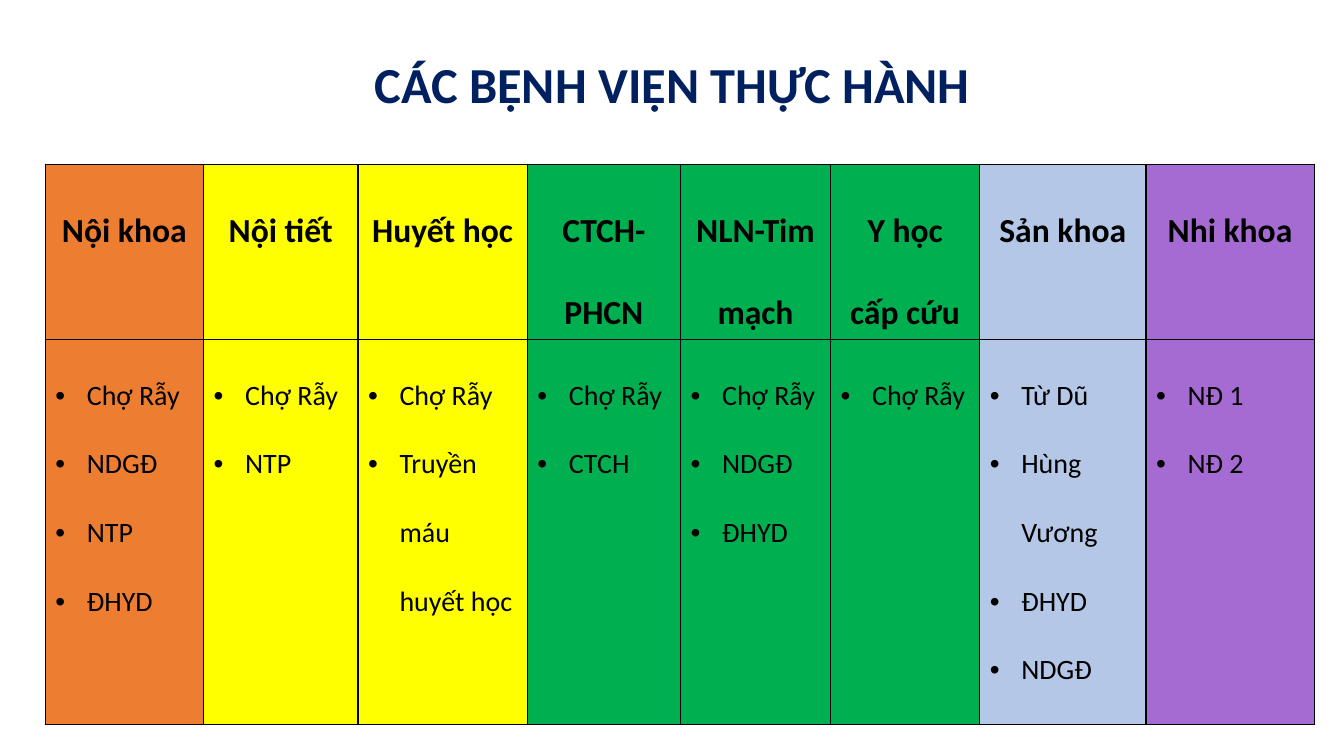
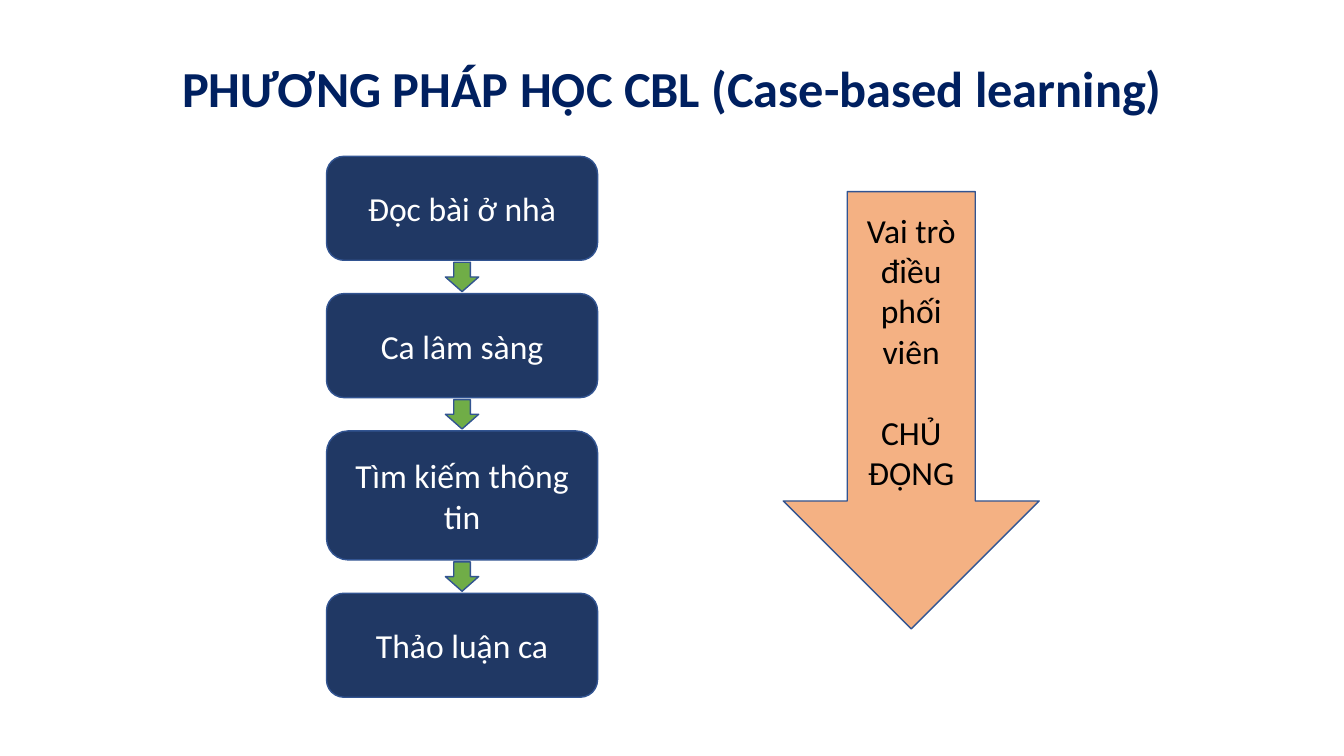
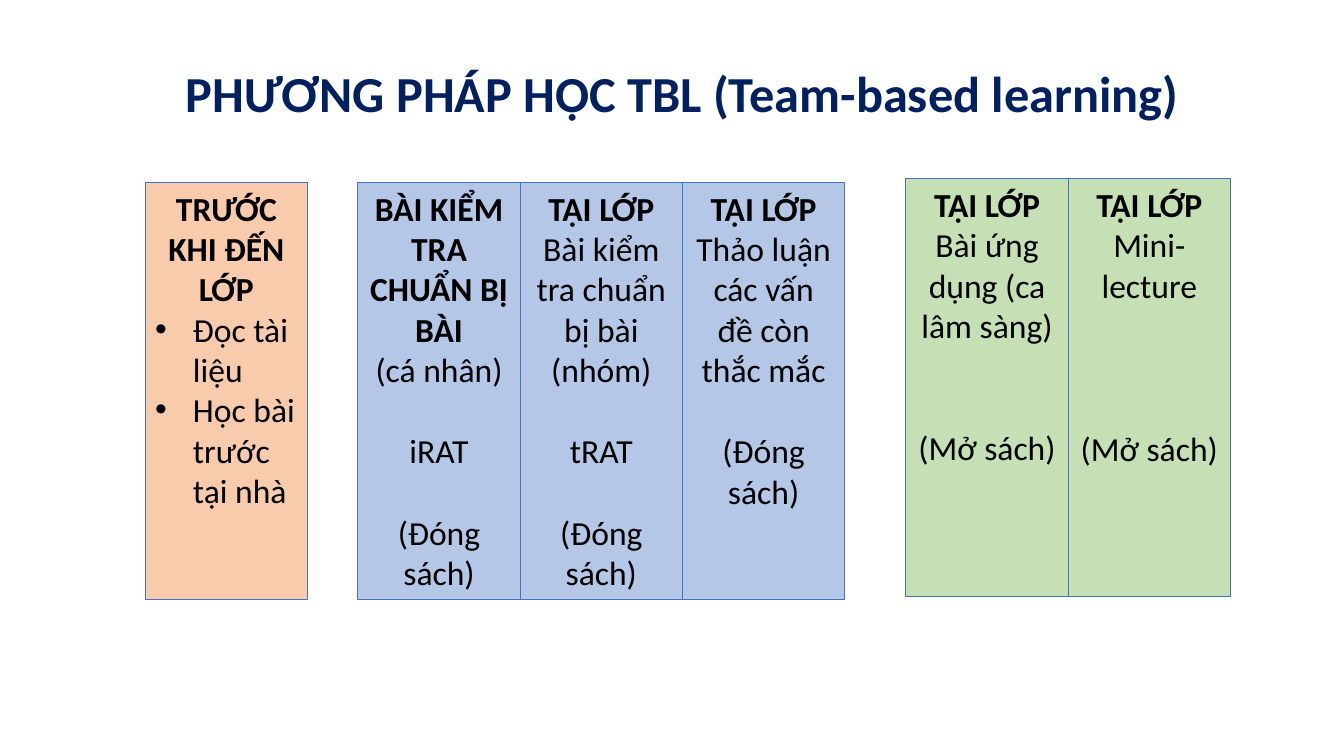
from dataclasses import dataclass

from lxml.etree import SubElement
from pptx import Presentation
from pptx.dml.color import RGBColor
from pptx.enum.shapes import MSO_SHAPE
from pptx.enum.text import MSO_ANCHOR, MSO_AUTO_SIZE, PP_ALIGN
from pptx.oxml.ns import qn
from pptx.util import Cm, Pt

FONT = "Calibri"
LINE_HEIGHT = 1.22  # height of one text line relative to its font size
BULLET_INDENT = 1.125  # bullet indent relative to the font size

BLACK = RGBColor(0x00, 0x00, 0x00)
WHITE = RGBColor(0xFF, 0xFF, 0xFF)
TITLE_NAVY = RGBColor(0x00, 0x20, 0x60)
STEP_NAVY = RGBColor(0x20, 0x38, 0x64)
OUTLINE_NAVY = RGBColor(0x32, 0x54, 0x91)
OUTLINE_BLUE = RGBColor(0x44, 0x72, 0xC4)
ORANGE = RGBColor(0xED, 0x7D, 0x31)
SOFT_ORANGE = RGBColor(0xF4, 0xB1, 0x83)
PEACH = RGBColor(0xF8, 0xCB, 0xAD)
YELLOW = RGBColor(0xFF, 0xFF, 0x00)
GREEN = RGBColor(0x00, 0xB0, 0x50)
ARROW_GREEN = RGBColor(0x70, 0xAD, 0x47)
PALE_GREEN = RGBColor(0xC5, 0xE0, 0xB4)
PALE_BLUE = RGBColor(0xB4, 0xC7, 0xE7)
PURPLE = RGBColor(0xA6, 0x6B, 0xD3)


@dataclass
class Line:
    """One paragraph; gap is the space above it, counted in text lines."""
    text: str
    bold: bool = False
    bullet: bool = False
    gap: int = 0


class Deck:
    def __init__(self):
        self.presentation = Presentation()
        self.presentation.slide_width = Cm(33.87)
        self.presentation.slide_height = Cm(19.05)
        self.slide = None

    def add_slide(self, title, left, top):
        layout = self.presentation.slide_layouts.get_by_name("Title Only")
        self.slide = self.presentation.slides.add_slide(layout)
        shape = self.slide.shapes.title
        shape.left, shape.top = Cm(left), Cm(top)
        shape.width, shape.height = Cm(29.21), Cm(3.68)
        text_frame = shape.text_frame
        self.set_lines(text_frame, [Line(title, bold=True)], TITLE_NAVY, 36, 0.9)
        text_frame.auto_size = MSO_AUTO_SIZE.NONE
        text_frame.vertical_anchor = MSO_ANCHOR.MIDDLE

    def set_lines(self, text_frame, lines, colour=BLACK, size=24, spacing=None):
        text_frame.word_wrap = True
        text_frame.text = "\n".join(line.text for line in lines)
        for paragraph, line in zip(text_frame.paragraphs, lines):
            paragraph.alignment = PP_ALIGN.LEFT if line.bullet else PP_ALIGN.CENTER
            if spacing:
                paragraph.line_spacing = spacing
            if line.gap:
                paragraph.space_before = Pt(round(line.gap * size * LINE_HEIGHT, 1))
            if line.bullet:
                self.add_bullet(paragraph, Pt(size * BULLET_INDENT))
            for run in paragraph.runs:
                run.font.name = FONT
                run.font.size = Pt(size)
                run.font.bold = line.bold
                run.font.color.rgb = colour

    def add_bullet(self, paragraph, indent):
        properties = paragraph._p.get_or_add_pPr()
        properties.set("marL", str(indent))
        properties.set("indent", str(-indent))
        SubElement(properties, qn("a:buFont"), typeface="Arial")
        SubElement(properties, qn("a:buChar"), char="•")

    def add_shape(self, kind, left, top, width, height, fill, outline, weight=1.0):
        shape = self.slide.shapes.add_shape(
            kind, Cm(left), Cm(top), Cm(width), Cm(height))
        shape.shadow.inherit = False
        shape.fill.solid()
        shape.fill.fore_color.rgb = fill
        shape.line.color.rgb = outline
        shape.line.width = Pt(weight)
        return shape

    def add_step(self, text, left, top, width, height):
        shape = self.add_shape(MSO_SHAPE.ROUNDED_RECTANGLE, left, top, width, height,
                               STEP_NAVY, OUTLINE_NAVY)
        self.set_lines(shape.text_frame, [Line(text)], WHITE)

    def add_down_arrow(self, left, top, width, height, fill):
        return self.add_shape(MSO_SHAPE.DOWN_ARROW, left, top, width, height,
                              fill, OUTLINE_NAVY)

    def add_panel(self, lines, left, top, width, height, fill):
        shape = self.add_shape(MSO_SHAPE.RECTANGLE, left, top, width, height,
                               fill, OUTLINE_BLUE, 0.75)
        shape.text_frame.vertical_anchor = MSO_ANCHOR.TOP
        self.set_lines(shape.text_frame, lines)

    def add_column_table(self, columns, left, top, row_heights):
        """Each column is (heading, width, fill, bulleted entries)."""
        width = sum(column[1] for column in columns)
        table = self.slide.shapes.add_table(
            2, len(columns), Cm(left), Cm(top), Cm(width), Cm(sum(row_heights))).table
        table.first_row = table.horz_banding = False
        for row, height in zip(table.rows, row_heights):
            row.height = Cm(height)
        for index, (heading, column_width, fill, entries) in enumerate(columns):
            table.columns[index].width = Cm(column_width)
            bullets = [Line(entry, bullet=True) for entry in entries]
            self.fill_cell(table.cell(0, index), [Line(heading, bold=True)], fill, 24)
            self.fill_cell(table.cell(1, index), bullets, fill, 20)

    def fill_cell(self, cell, lines, fill, size):
        properties = cell._tc.get_or_add_tcPr()
        for side in ("L", "R", "T", "B"):
            border = SubElement(properties, qn(f"a:ln{side}"), w=str(Pt(1)))
            solid = SubElement(border, qn("a:solidFill"))
            SubElement(solid, qn("a:srgbClr"), val=str(BLACK))
        cell.fill.solid()
        cell.fill.fore_color.rgb = fill
        self.set_lines(cell.text_frame, lines, size=size, spacing=2.0)


def add_hospitals(deck):
    deck.add_slide("CÁC BỆNH VIỆN THỰC HÀNH", 2.34, 0.36)
    columns = [
        ("Nội khoa", 3.99, ORANGE, ["Chợ Rẫy", "NDGĐ", "NTP", "ĐHYD"]),
        ("Nội tiết", 3.89, YELLOW, ["Chợ Rẫy", "NTP"]),
        ("Huyết học", 4.27, YELLOW, ["Chợ Rẫy", "Truyền máu huyết học"]),
        ("CTCH-PHCN", 3.86, GREEN, ["Chợ Rẫy", "CTCH"]),
        ("NLN-Tim mạch", 3.78, GREEN, ["Chợ Rẫy", "NDGĐ", "ĐHYD"]),
        ("Y học cấp cứu", 3.76, GREEN, ["Chợ Rẫy"]),
        ("Sản khoa", 4.19, PALE_BLUE, ["Từ Dũ", "Hùng Vương", "ĐHYD", "NDGĐ"]),
        ("Nhi khoa", 4.24, PURPLE, ["NĐ 1", "NĐ 2"]),
    ]
    deck.add_column_table(columns, 1.14, 4.14, (4.41, 9.7))


def add_case_based_learning(deck):
    deck.add_slide("PHƯƠNG PHÁP HỌC CBL (Case-based learning)", 2.34, 0.46)
    left, top, width, gap = 8.23, 3.94, 6.83, 0.84
    arrow_width, arrow_height = 0.84, 0.74
    steps = [("Đọc bài ở nhà", 2.62), ("Ca lâm sàng", 2.62),
             ("Tìm kiếm thông tin", 3.25), ("Thảo luận ca", 2.62)]
    for index, (text, height) in enumerate(steps):
        if index:
            deck.add_down_arrow(left + (width - arrow_width) / 2,
                                top - (gap + arrow_height) / 2,
                                arrow_width, arrow_height, ARROW_GREEN)
        deck.add_step(text, left, top, width, height)
        top += height + gap

    role_arrow = deck.add_down_arrow(19.74, 4.83, 6.45, 11.02, SOFT_ORANGE)
    role_arrow.text_frame.vertical_anchor = MSO_ANCHOR.TOP
    role_arrow.text_frame.margin_top = Cm(0.45)
    deck.set_lines(role_arrow.text_frame, [
        Line("Vai trò"), Line("điều phối viên"), Line("CHỦ ĐỘNG", gap=1)])


def add_team_based_learning(deck):
    deck.add_slide("PHƯƠNG PHÁP HỌC TBL (Team-based learning)", 2.59, 0.58)
    in_class = Line("TẠI LỚP", bold=True)
    closed_book = Line("(Đóng sách)", gap=1)
    before_class = [
        [Line("TRƯỚC KHI ĐẾN LỚP", bold=True), Line("Đọc tài liệu", bullet=True),
         Line("Học bài trước tại nhà", bullet=True)],
    ]
    readiness = [
        [Line("BÀI KIỂM TRA CHUẨN BỊ BÀI", bold=True), Line("(cá nhân)"),
         Line("iRAT", gap=1), closed_book],
        [in_class, Line("Bài kiểm tra chuẩn bị bài (nhóm)"),
         Line("tRAT", gap=1), closed_book],
        [in_class, Line("Thảo luận các vấn đề còn thắc mắc"), closed_book],
    ]
    application = [
        [in_class, Line("Bài ứng dụng (ca lâm sàng)"), Line("(Mở sách)", gap=2)],
        [in_class, Line("Mini-lecture"), Line("(Mở sách)", gap=3)],
    ]
    width, height = 4.09, 10.52
    groups = [(3.66, 4.6, PEACH, before_class), (9.02, 4.6, PALE_BLUE, readiness),
              (22.83, 4.51, PALE_GREEN, application)]
    for left, top, fill, panels in groups:
        for index, lines in enumerate(panels):
            deck.add_panel(lines, left + index * width, top, width, height, fill)


def main():
    deck = Deck()
    add_hospitals(deck)
    add_case_based_learning(deck)
    add_team_based_learning(deck)
    deck.presentation.save("out.pptx")


if __name__ == "__main__":
    main()
